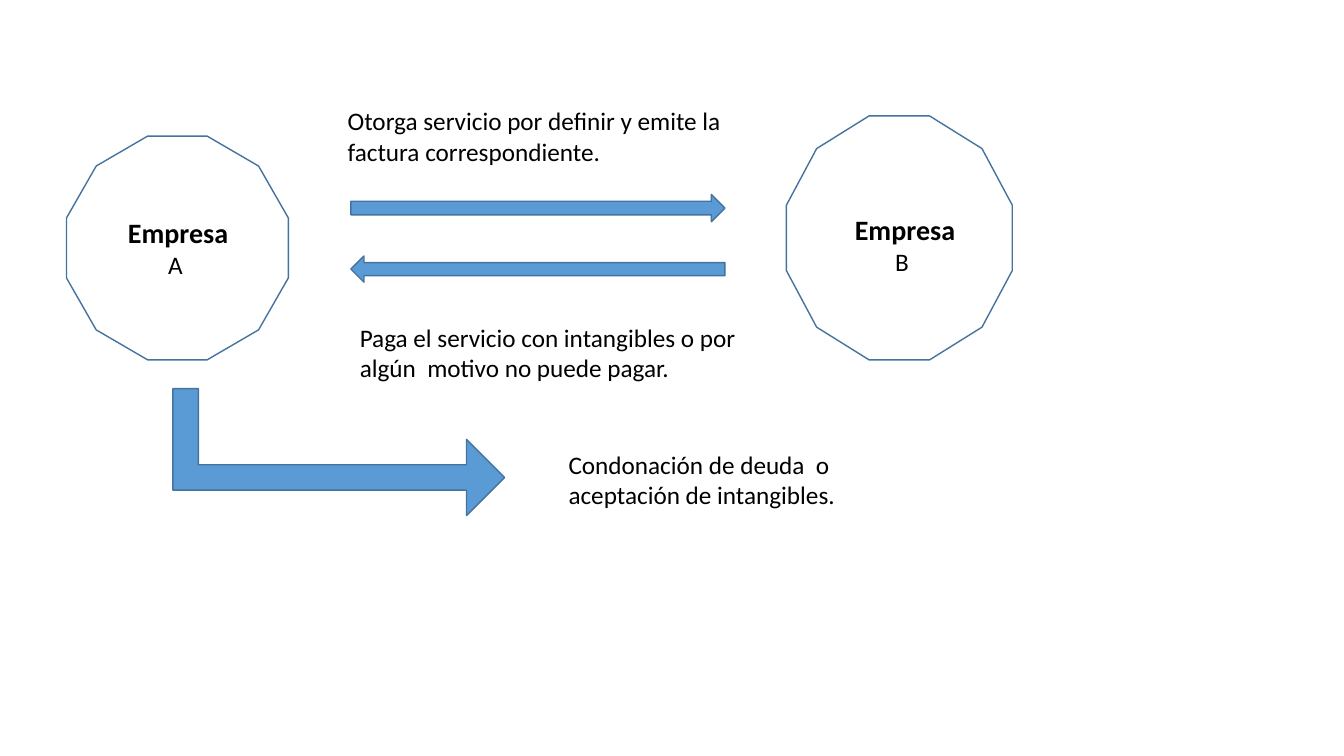
from dataclasses import dataclass

from pptx import Presentation
from pptx.dml.color import RGBColor
from pptx.enum.shapes import MSO_SHAPE
from pptx.enum.text import MSO_AUTO_SIZE
from pptx.util import Inches, Pt

DODECAGON = MSO_SHAPE.DODECAGON
RIGHT_ARROW = MSO_SHAPE.RIGHT_ARROW
LEFT_ARROW = MSO_SHAPE.LEFT_ARROW
BENT_ARROW = MSO_SHAPE.BENT_UP_ARROW
GROW = MSO_AUTO_SIZE.SHAPE_TO_FIT_TEXT


@dataclass(frozen=True)
class Theme:
    font: str = "Calibri"
    body: int = 18
    heading: int = 20
    line_width: int = 1
    ink: RGBColor = RGBColor.from_string("000000")
    paper: RGBColor = RGBColor.from_string("FFFFFF")
    accent: RGBColor = RGBColor.from_string("5B9BD5")
    outline: RGBColor = RGBColor.from_string("43739E")


def write(p, text, font, size, color, bold=False, indent=0):
    r = p.add_run()
    r.text = text
    r.font.name = font
    r.font.size = Pt(size)
    r.font.bold = bold
    r.font.color.rgb = color
    if indent:
        p._p.get_or_add_pPr().set("marL", str(Inches(indent)))


class Diagram:
    """Draws the elements of a two-company diagram on one slide."""

    def __init__(self, slide, theme):
        self.s = slide
        self.theme = theme

    def shape(self, kind, box, fill, rotation=0, adjustments=()):
        sp = self.s.shapes.add_shape(kind, *map(Inches, box))
        sp.shadow.inherit = False
        sp.fill.solid()
        sp.fill.fore_color.rgb = fill
        sp.line.color.rgb = self.theme.outline
        sp.line.width = Pt(self.theme.line_width)
        sp.rotation = rotation
        for i, value in enumerate(adjustments):
            sp.adjustments[i] = value

    def company(self, box):
        self.shape(DODECAGON, box, self.theme.paper)

    def arrow(self, kind, box, **kwargs):
        self.shape(kind, box, self.theme.accent, **kwargs)

    def text_frame(self, box):
        tf = self.s.shapes.add_textbox(*map(Inches, box)).text_frame
        tf.word_wrap = True
        tf.auto_size = GROW
        return tf

    def note(self, text, box):
        t = self.theme
        tf = self.text_frame(box)
        write(tf.paragraphs[0], text, font=t.font, size=t.body, color=t.ink)

    def label(self, letter, left, top):
        t = self.theme
        tf = self.text_frame((left, top, 1.65, 0.74))
        write(tf.paragraphs[0], "Empresa", font=t.font, size=t.heading,
              color=t.ink, bold=True)
        write(tf.add_paragraph(), letter, font=t.font, size=t.body,
              color=t.ink, indent=0.4)


def main():
    prs = Presentation()
    prs.slide_width = Inches(13.33)
    prs.slide_height = Inches(7.5)
    d = Diagram(prs.slides.add_slide(prs.slide_layouts[6]), Theme())

    d.company((0.66, 1.35, 2.2, 2.22))
    d.company((7.8, 1.15, 2.24, 2.42))
    d.note("Otorga servicio por definir y emite la factura correspondiente.",
           (3.35, 1, 4.2, 0.71))
    d.arrow(RIGHT_ARROW, (3.48, 1.93, 3.71, 0.27))
    d.arrow(LEFT_ARROW, (3.48, 2.54, 3.71, 0.26))
    d.note("Paga el servicio con intangibles o por algún  motivo no puede pagar.",
           (3.47, 3.15, 3.96, 0.71))
    d.label("A", 1.17, 2.09)
    d.label("B", 8.38, 2.06)
    d.arrow(BENT_ARROW, (2.73, 2.84, 1.26, 3.29), rotation=90,
            adjustments=(0.2, 0.3, 0.3))
    d.note("Condonación de deuda  o aceptación de intangibles.",
           (5.54, 4.41, 3.38, 0.71))

    prs.save("out.pptx")


if __name__ == "__main__":
    main()
